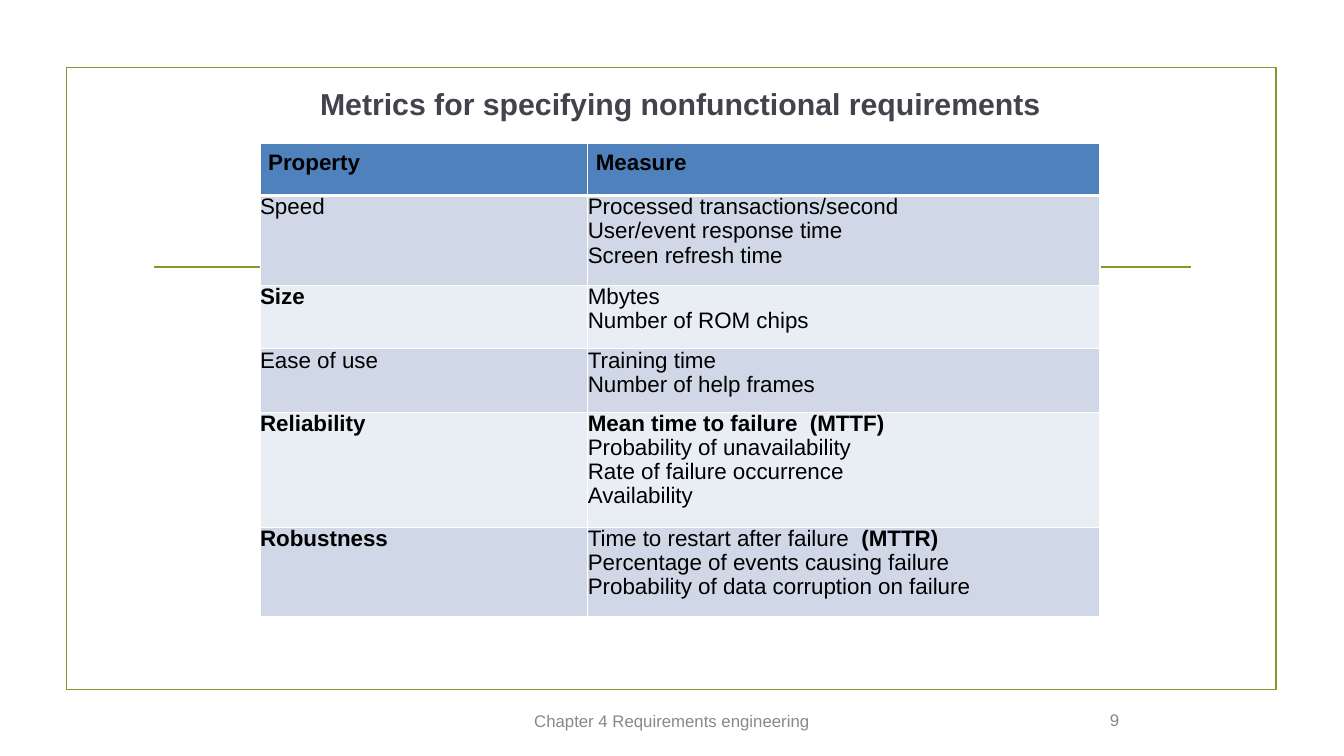
import pptx
import pptx.util
import pptx.dml.color
import pptx.enum.shapes
import pptx.enum.text
import pptx.oxml
import pptx.oxml.ns

Inches = pptx.util.Inches
Pt = pptx.util.Pt
ALIGN = pptx.enum.text.PP_ALIGN
MIDDLE = pptx.enum.text.MSO_ANCHOR.MIDDLE
COLORS = {"olive": "83992A", "title": "46424D", "footer": "888888", "text": "000000",
          "header": "4F81BD", "dark band": "D0D8E8", "light band": "E9EDF4", "border": "FFFFFF"}


def rgb(name):
    return pptx.dml.color.RGBColor.from_string(COLORS[name])


def write(frame, text, size=16, color="text", align=ALIGN.JUSTIFY, inset=0, anchor=None, spacing=None):
    """Write one paragraph per line of text; parts between asterisks are bold."""
    frame.word_wrap = True
    if anchor is not None:
        frame.vertical_anchor = anchor
    for number, line in enumerate(text.split("\n")):
        paragraph = frame.paragraphs[0] if number == 0 else frame.add_paragraph()
        paragraph.alignment = align
        paragraph.line_spacing = spacing
        for part_number, part in enumerate(line.split("*")):
            if part:
                run = paragraph.add_run()
                run.text = part
                run.font.name = "Arial"
                run.font.size = Pt(size)
                run.font.bold = part_number % 2 == 1
                run.font.color.rgb = rgb(color)
    # Table cells hold their margins themselves
    if hasattr(frame, "margin_left") and inset is not None:
        frame.margin_left = frame.margin_right = Inches(inset)
        frame.margin_top = frame.margin_bottom = Inches(inset)


presentation = pptx.Presentation()
presentation.slide_width = Inches(13.33)
presentation.slide_height = Inches(7.5)
slide = presentation.slides.add_slide(presentation.slide_layouts[5])

# Frame and rule behind the table
border_frame = slide.shapes.add_shape(pptx.enum.shapes.MSO_SHAPE.RECTANGLE,
                                      Inches(0.66), Inches(0.67), Inches(12), Inches(6.17))
border_frame.shadow.inherit = False
border_frame.fill.background()
rule = slide.shapes.add_connector(pptx.enum.shapes.MSO_CONNECTOR.STRAIGHT,
                                  Inches(1.53), Inches(2.65), Inches(11.81), Inches(2.65))
rule._element.spPr.append(pptx.oxml.parse_xml(f'<a:effectLst {pptx.oxml.ns.nsdecls("a")}/>'))
for outline in (border_frame.line, rule.line):
    outline.color.rgb = rgb("olive")
    outline.width = Pt(1.25)

# Title
title = slide.shapes.title
title.left, title.top, title.width, title.height = Inches(2.76), Inches(0.83), Inches(7.98), Inches(0.4)
write(title.text_frame, "*Metrics for specifying nonfunctional requirements*",
      size=21.6, color="title", align=ALIGN.CENTER, anchor=MIDDLE)

# Metrics table: property, measures, row height
metrics = [
    ("*Property*", "*Measure*", 0.52),
    ("Speed", "Processed transactions/second\nUser/event response time\nScreen refresh time", 0.89),
    ("*Size*", "Mbytes\nNumber of ROM chips", 0.63),
    ("Ease of use", "Training time\nNumber of help frames", 0.63),
    ("*Reliability*", "*Mean time to failure  (MTTF)*\nProbability of unavailability\n"
                      "Rate of failure occurrence\nAvailability", 1.14),
    ("*Robustness*", "Time to restart after failure  *(MTTR)*\nPercentage of events causing failure\n"
                     "Probability of data corruption on failure", 0.89),
]
table = slide.shapes.add_table(len(metrics), 2, Inches(2.58), Inches(1.42), Inches(8.33), Inches(4.7)).table
table.columns[0].width = Inches(3.25)
table.columns[1].width = Inches(5.08)
for row, (prop, measures, height) in enumerate(metrics):
    table.rows[row].height = Inches(height)
    band = "header" if row == 0 else "dark band" if row % 2 else "light band"
    for column, text in enumerate((prop, measures)):
        cell = table.cell(row, column)
        write(cell.text_frame, text, inset=None, spacing=0.97)
        margin = Inches(0.08 if row == 0 else 0)
        cell.margin_left = cell.margin_right = cell.margin_top = cell.margin_bottom = margin
        for side in "LRTB":
            below_header = (row, side) in ((0, "B"), (1, "T"))
            cell._tc.get_or_add_tcPr().append(pptx.oxml.parse_xml(
                f'<a:ln{side} {pptx.oxml.ns.nsdecls("a")} w="{Pt(3 if below_header else 1)}">'
                f'<a:solidFill><a:srgbClr val="{COLORS["border"]}"/></a:solidFill></a:ln{side}>'))
        cell.fill.solid()
        cell.fill.fore_color.rgb = rgb(band)

# Footer and slide number
for text, left, top, width, height, align in (
        ("Chapter 4 Requirements engineering", 5.08, 6.95, 3.17, 0.4, ALIGN.CENTER),
        ("9", 8.83, 6.99, 2.33, 0.31, ALIGN.RIGHT)):
    footer = slide.shapes.add_textbox(Inches(left), Inches(top), Inches(width), Inches(height))
    write(footer.text_frame, text, size=12, color="footer", align=align, inset=0.06, anchor=MIDDLE)

presentation.save("out.pptx")
